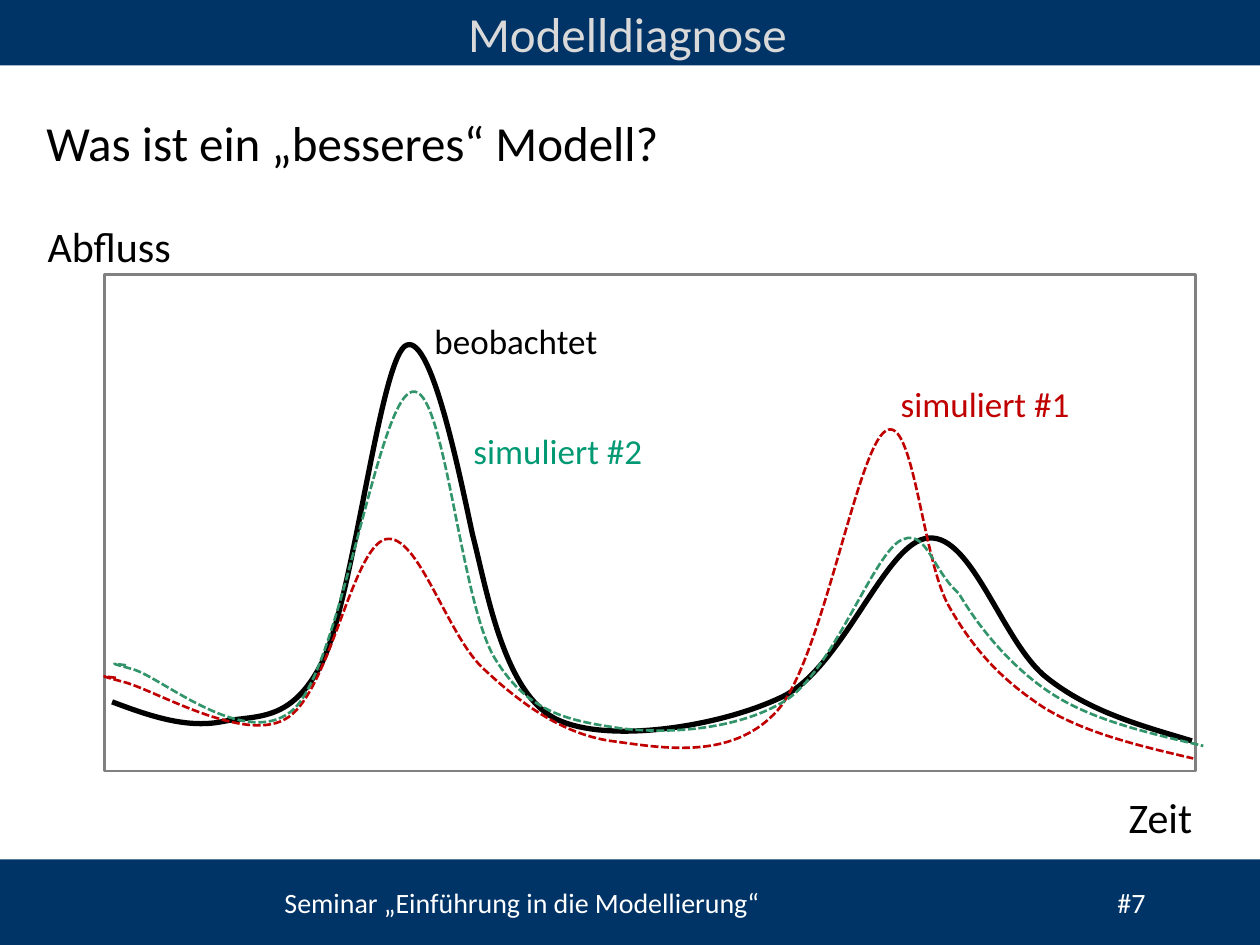
from pptx import Presentation
from pptx.dml.color import RGBColor
from pptx.enum.dml import MSO_LINE
from pptx.enum.shapes import MSO_SHAPE
from pptx.enum.text import MSO_ANCHOR, MSO_AUTO_SIZE, PP_ALIGN
from pptx.oxml.ns import qn
from pptx.util import Inches, Pt
from lxml.etree import SubElement

FONT = "Calibri"
COLORS = {
    "band": "003366", "title": "D9D9D9", "white": "FFFFFF", "black": "000000",
    "frame": "808080", "red": "C00000", "green": "32946A", "green_label": "009973",
}
TITLE = "Modelldiagnose"
BANDS = [(0, 0, 10, 0.52), (0, 6.82, 10, 0.68)]
PLOT_FRAME = (0.83, 2.18, 8.66, 3.94)

# text, box, size, color, alignment
LABELS = [
    ("Seminar „Einführung in die Modellierung“", (2.16, 6.98, 5, 0.37), 16, "white", PP_ALIGN.LEFT),
    ("#7", (8.77, 6.98, 0.8, 0.37), 16, "white", PP_ALIGN.LEFT),
    ("Was ist ein „besseres“ Modell?", (0.27, 0.84, 5.35, 0.57), 28, "black", PP_ALIGN.LEFT),
    ("Abfluss", (0.28, 1.7, 1.69, 0.5), 24, "black", PP_ALIGN.LEFT),
    ("Zeit", (7.87, 6.23, 1.69, 0.5), 24, "black", PP_ALIGN.RIGHT),
    ("beobachtet", (3.35, 2.49, 2.36, 0.43), 20, "black", PP_ALIGN.LEFT),
    ("simuliert #1", (7.05, 2.99, 2.36, 0.43), 20, "red", PP_ALIGN.LEFT),
    ("simuliert #2", (3.66, 3.36, 2.36, 0.43), 20, "green_label", PP_ALIGN.LEFT),
]

# color, width, dash, start point followed by Bézier triples (control, control, end)
HYDROGRAPHS = [
    ("black", 3, None, [
        (0.89, 5.57),
        (1.18, 5.68), (1.47, 5.78), (1.75, 5.73),
        (2.03, 5.67), (2.31, 5.75), (2.56, 5.25),
        (2.8, 4.76), (3.01, 2.92), (3.21, 2.75),
        (3.41, 2.59), (3.64, 3.73), (3.75, 4.24),
        (3.86, 4.66), (3.99, 5.48), (4.4, 5.7),
        (4.81, 5.91), (5.71, 5.77), (6.21, 5.53),
        (6.7, 5.29), (7.03, 4.29), (7.37, 4.27),
        (7.72, 4.24), (7.96, 5.11), (8.31, 5.38),
        (8.65, 5.65), (9.06, 5.76), (9.46, 5.88)]),
    ("red", 1.5, MSO_LINE.SQUARE_DOT, [
        (0.92, 5.38),
        (0.83, 5.37), (0.75, 5.35), (0.97, 5.41),
        (1.2, 5.46), (1.92, 5.9), (2.26, 5.71),
        (2.61, 5.53), (2.79, 4.35), (3.06, 4.28),
        (3.32, 4.22), (3.55, 5.06), (3.85, 5.32),
        (4.14, 5.59), (4.46, 5.82), (4.84, 5.88),
        (5.23, 5.93), (5.8, 6.05), (6.17, 5.64),
        (6.53, 5.23), (6.8, 3.56), (7.03, 3.42),
        (7.25, 3.28), (7.32, 4.44), (7.53, 4.81),
        (7.74, 5.18), (7.97, 5.41), (8.29, 5.62),
        (8.62, 5.82), (9.04, 5.92), (9.47, 6.02)]),
    ("green", 1.5, MSO_LINE.SQUARE_DOT, [
        (1, 5.28),
        (0.91, 5.27), (0.83, 5.25), (1.05, 5.31),
        (1.28, 5.37), (1.97, 5.98), (2.34, 5.62),
        (2.71, 5.25), (3, 3.17), (3.27, 3.11),
        (3.53, 3.04), (3.65, 4.78), (3.93, 5.23),
        (4.2, 5.67), (4.53, 5.72), (4.92, 5.78),
        (5.31, 5.83), (5.88, 5.79), (6.25, 5.55),
        (6.61, 5.3), (6.91, 4.46), (7.13, 4.3),
        (7.35, 4.16), (7.39, 4.52), (7.61, 4.71),
        (7.78, 5), (8.05, 5.32), (8.37, 5.52),
        (8.69, 5.72), (9.12, 5.82), (9.55, 5.92)]),
]


def rgb(name):
    return RGBColor.from_string(COLORS[name])


def inches(values):
    return [Inches(value) for value in values]


def add_rect(slide, box):
    rect = slide.shapes.add_shape(MSO_SHAPE.RECTANGLE, *inches(box))
    rect.shadow.inherit = False
    return rect


def write(frame, text, size, color, align):
    frame.word_wrap = True
    frame.auto_size = MSO_AUTO_SIZE.NONE
    frame.vertical_anchor = MSO_ANCHOR.TOP
    paragraph = frame.paragraphs[0]
    paragraph.alignment = align
    run = paragraph.add_run()
    run.text = text
    run.font.name = FONT
    run.font.size = Pt(size)
    run.font.color.rgb = rgb(color)


def add_curve(slide, color, width, dash, points):
    """Draw a polyline through all points, then turn each three segments into one Bézier."""
    start, *rest = [inches(point) for point in points]
    builder = slide.shapes.build_freeform(*start)
    builder.add_line_segments(rest, close=False)
    curve = builder.convert_to_shape()
    outline = next(curve.element.iter(qn("a:path")))
    segments = outline.findall(qn("a:lnTo"))
    for i in range(0, len(segments), 3):
        bezier = SubElement(outline, qn("a:cubicBezTo"))
        for segment in segments[i:i + 3]:
            bezier.append(segment[0])
            outline.remove(segment)
    curve.shadow.inherit = False
    curve.fill.background()
    curve.line.color.rgb = rgb(color)
    curve.line.width = Pt(width)
    if dash:
        curve.line.dash_style = dash


def add_title(slide):
    title = slide.shapes.title
    title.element.getparent().append(title.element)  # in front of the band
    title.left, title.top, title.width, title.height = inches((0, -0.02, 9.96, 0.52))
    title.text_frame.margin_left = title.text_frame.margin_right = 0
    write(title.text_frame, TITLE, 28, "title", PP_ALIGN.CENTER)


def main():
    prs = Presentation()
    prs.slide_width, prs.slide_height = Inches(10), Inches(7.5)
    slide = prs.slides.add_slide(prs.slide_layouts[5])

    for box in BANDS:
        band = add_rect(slide, box)
        band.fill.solid()
        band.fill.fore_color.rgb = rgb("band")
        band.line.fill.background()
    add_title(slide)

    plot = add_rect(slide, PLOT_FRAME)
    plot.fill.background()
    plot.line.color.rgb = rgb("frame")
    plot.line.width = Pt(1.5)

    for hydrograph in HYDROGRAPHS:
        add_curve(slide, *hydrograph)
    for text, box, size, color, align in LABELS:
        label = slide.shapes.add_textbox(*inches(box))
        write(label.text_frame, text, size, color, align)

    prs.save("out.pptx")


if __name__ == "__main__":
    main()
